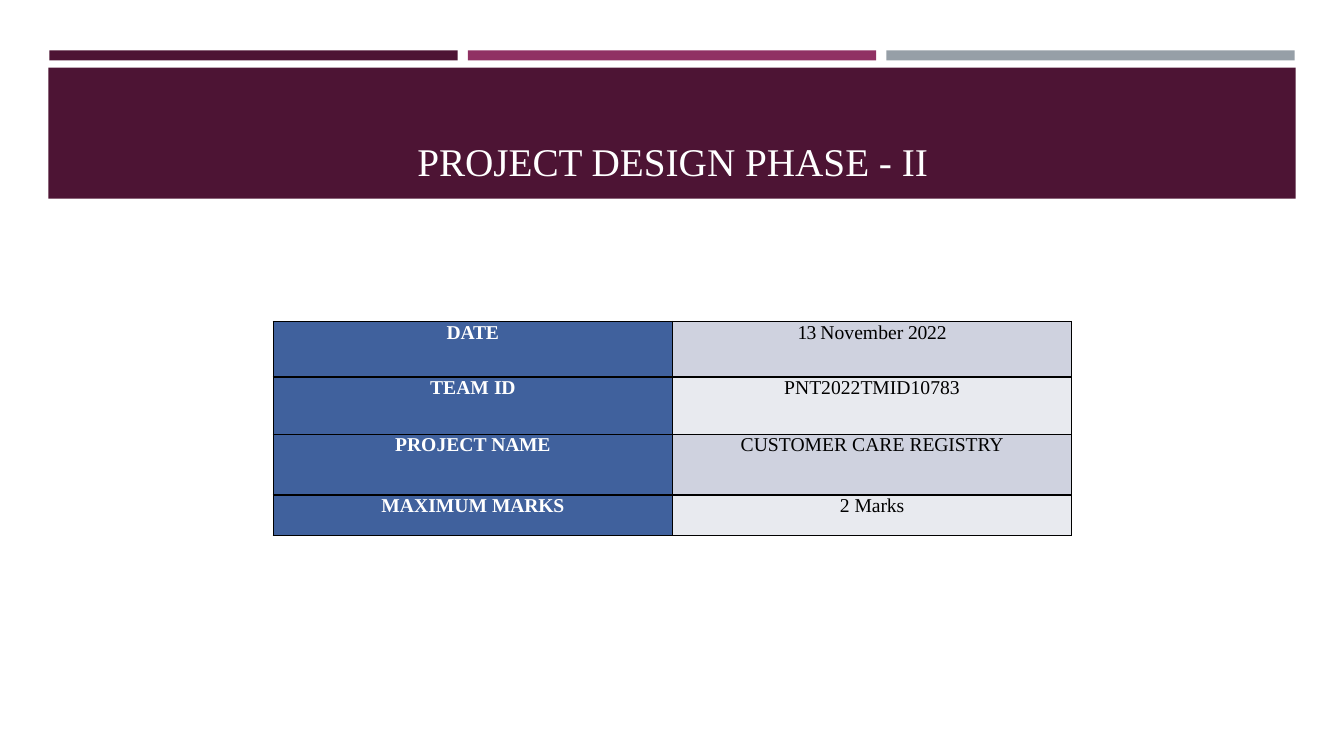
"""Build the project design phase title slide with its details table."""
from lxml import etree
from pptx import Presentation
from pptx.dml.color import RGBColor
from pptx.enum.shapes import MSO_SHAPE as SHAPE
from pptx.enum.text import MSO_ANCHOR as ANCHOR, PP_ALIGN as ALIGN
from pptx.oxml.ns import qn
from pptx.util import Inches, Pt

TITLE = "PROJECT DESIGN PHASE - II"
FONT = "Times New Roman"
PLUM, WHITE, BLACK, BLUE = "4D1434", "FFFFFF", "000000", "40619D"
STRIPES = [PLUM, "903163", "969FA7"]
VALUE_FILLS = ["CFD2DF", "E8EAEF"]
ROWS = [
    (0.55, [("DATE", -20)], [("13 ", -60), ("November", 0), (" 2022", -20)]),
    (0.57, [("TEAM ", 0), ("ID", -20)], [("PNT2022TMID10783", 0)]),
    (0.6, [("PROJECT ", 0), ("NAME", -20)], [("CUSTOMER CARE ", 0), ("REGISTRY", -10)]),
    (0.4, [("MAXIMUM ", 0), ("MARKS", -20)], [("2 ", 0), ("Marks", -10)]),
]
COL_W = 3.96


def rgb(color):
    return RGBColor.from_string(color)


def add_bar(s, x, y, w, h, color):
    bar = s.shapes.add_shape(SHAPE.RECTANGLE, Inches(x), Inches(y), Inches(w), Inches(h))
    bar.shadow.inherit = False
    bar.fill.solid()
    bar.fill.fore_color.rgb = rgb(color)
    bar.line.fill.background()


def add_run(p, text, size, color, bold=False, spacing=0):
    r = p.add_run()
    r.text = text
    r.font.name, r.font.size, r.font.bold = FONT, Pt(size), bold
    r.font.color.rgb = rgb(color)
    if spacing:
        r._r.get_or_add_rPr().set("spc", str(spacing))


def add_borders(cell):
    tc_pr = cell._tc.get_or_add_tcPr()
    for side in ("a:lnL", "a:lnR", "a:lnT", "a:lnB"):
        ln = etree.SubElement(tc_pr, qn(side), w=str(Pt(1)))
        fill = etree.SubElement(ln, qn("a:solidFill"))
        etree.SubElement(fill, qn("a:srgbClr"), val=BLACK)


def fill_cell(cell, runs, fill, color, bold):
    cell.margin_left = cell.margin_right = cell.margin_top = cell.margin_bottom = 0
    add_borders(cell)
    cell.fill.solid()
    cell.fill.fore_color.rgb = rgb(fill)
    p = cell.text_frame.paragraphs[0]
    p.alignment = ALIGN.CENTER
    p.space_before = Pt(3.9)
    for text, spacing in runs:
        add_run(p, text, 14, color, bold, spacing)


def add_title(s):
    title = s.shapes.title
    title.left, title.top = Inches(0.64), Inches(0.77)
    title.width, title.height = Inches(12.06), Inches(1.11)
    tf = title.text_frame
    tf.vertical_anchor = ANCHOR.BOTTOM
    p = tf.paragraphs[0]
    p.alignment = ALIGN.CENTER
    add_run(p, TITLE, 28, WHITE)
    s.shapes._spTree.append(title._element)


def add_details(s):
    height = sum(row[0] for row in ROWS)
    table = s.shapes.add_table(len(ROWS), 2, Inches(2.71), Inches(3.19),
                               Inches(2 * COL_W), Inches(height)).table
    for col in table.columns:
        col.width = Inches(COL_W)
    for i, (row_h, label, value) in enumerate(ROWS):
        table.rows[i].height = Inches(row_h)
        fill_cell(table.cell(i, 0), label, BLUE, WHITE, True)
        fill_cell(table.cell(i, 1), value, VALUE_FILLS[i % 2], BLACK, False)


def main():
    prs = Presentation()
    prs.slide_width, prs.slide_height = Inches(13.33), Inches(7.5)
    s = prs.slides.add_slide(prs.slide_layouts[5])
    for i, color in enumerate(STRIPES):
        add_bar(s, 0.49 + 4.15 * i, 0.5, 4.05, 0.1, color)
    add_bar(s, 0.48, 0.67, 12.37, 1.3, PLUM)
    add_title(s)
    add_details(s)
    prs.save("out.pptx")


if __name__ == "__main__":
    main()
